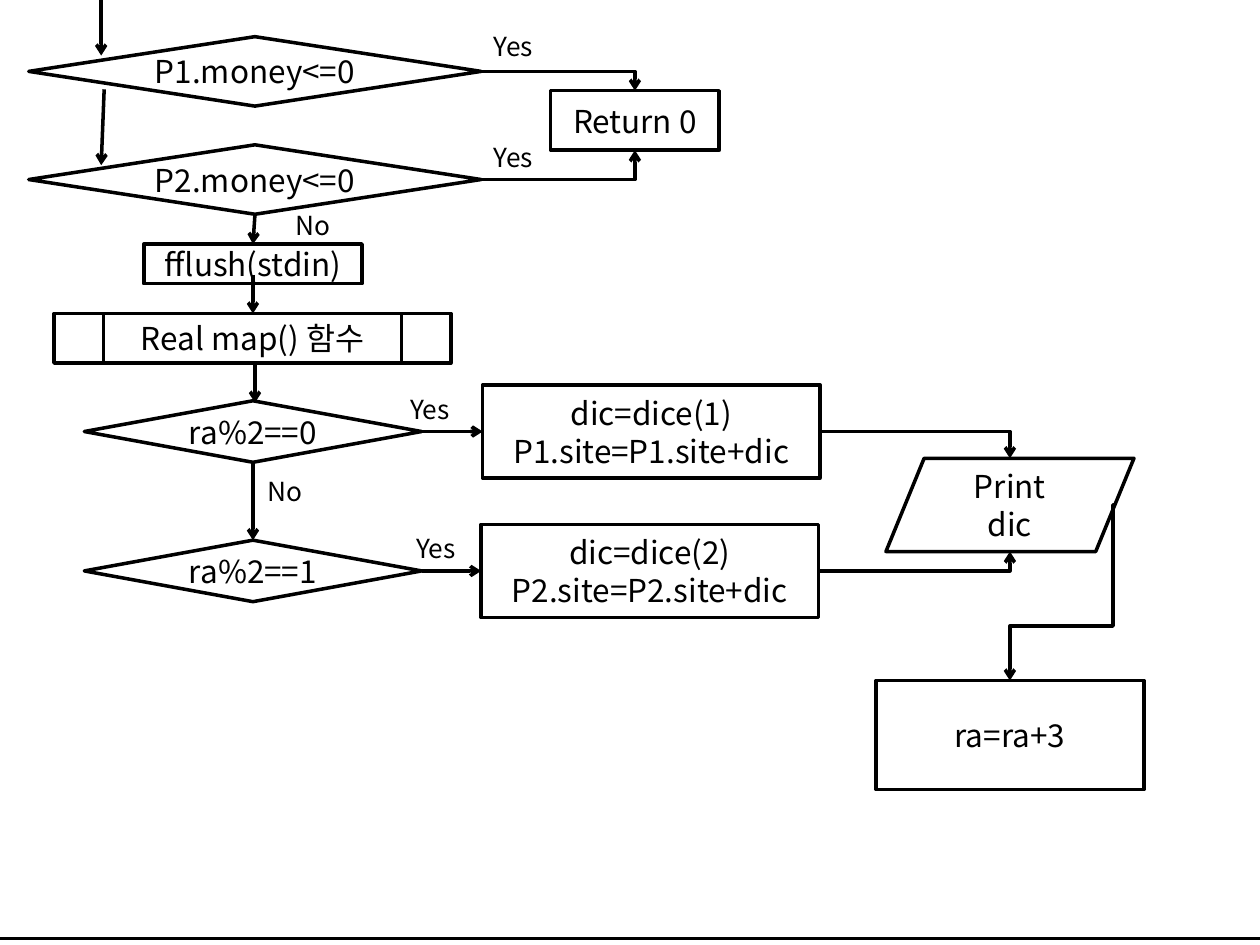
from lxml import etree
from pptx import Presentation
from pptx.dml.color import RGBColor
from pptx.enum.shapes import MSO_CONNECTOR, MSO_SHAPE
from pptx.enum.text import MSO_ANCHOR, PP_ALIGN
from pptx.oxml.ns import qn
from pptx.util import Cm, Pt

DIAMOND = MSO_SHAPE.DIAMOND
RECTANGLE = MSO_SHAPE.RECTANGLE
PARALLELOGRAM = MSO_SHAPE.PARALLELOGRAM
SUBROUTINE = MSO_SHAPE.FLOWCHART_PREDEFINED_PROCESS
STRAIGHT, ELBOW = MSO_CONNECTOR.STRAIGHT, MSO_CONNECTOR.ELBOW
MIDDLE = MSO_ANCHOR.MIDDLE
LEFT, CENTER = PP_ALIGN.LEFT, PP_ALIGN.CENTER

COLORS = {"ink": "000000", "paper": "FFFFFF"}
FONT = "Noto Sans CJK KR"


def color(name):
    return RGBColor.from_string(COLORS[name])


def write(frame, lines, size, align):
    frame.text = "\n".join(lines)
    for para in frame.paragraphs:
        para.alignment = align
        font = para.font
        font.size = Pt(size)
        font.color.rgb = color("ink")
        font.name = FONT
        # Hangul takes its face from the East Asian font
        defaults = para._p.pPr.find(qn("a:defRPr"))
        etree.SubElement(defaults, qn("a:ea")).set("typeface", FONT)


def draw_line(line):
    line.color.rgb = color("ink")
    line.width = Pt(2)


def add_step(page, kind, left, top, width, height, *lines):
    box = page.shapes.add_shape(kind, Cm(left), Cm(top), Cm(width), Cm(height))
    box.shadow.inherit = False
    box.fill.solid()
    box.fill.fore_color.rgb = color("paper")
    draw_line(box.line)
    box.text_frame.word_wrap = False
    box.text_frame.vertical_anchor = MIDDLE
    write(box.text_frame, lines, 18, CENTER)
    return box


def add_label(page, left, top, text):
    box = page.shapes.add_textbox(Cm(left), Cm(top), Cm(2.2), Cm(0.9))
    box.text_frame.word_wrap = True
    write(box.text_frame, [text], 15, LEFT)


def add_link(page, start, end, kind=STRAIGHT, arrow=True):
    x1, y1, x2, y2 = map(Cm, start + end)
    link = page.shapes.add_connector(kind, x1, y1, x2, y2)
    draw_line(link.line)
    if arrow:
        outline = link.line._get_or_add_ln()
        etree.SubElement(outline, qn("a:tailEnd")).set("type", "arrow")
    etree.SubElement(link._element.spPr, qn("a:effectLst"))
    return link


def add_bent_link(page, start, end, preset="bentConnector2", adjustments=()):
    link = add_link(page, start, end, ELBOW)
    geometry = link._element.spPr.find(qn("a:prstGeom"))
    geometry.set("prst", preset)
    guides = geometry.find(qn("a:avLst"))
    for number, value in enumerate(adjustments, 1):
        guide = etree.SubElement(guides, qn("a:gd"))
        guide.set("name", f"adj{number}")
        guide.set("fmla", f"val {round(value * 100000)}")


def main():
    deck = Presentation()
    deck.slide_width, deck.slide_height = Cm(25.4), Cm(19.05)
    page = deck.slides.add_slide(deck.slide_layouts[6])

    # Money checks, one for each player
    add_link(page, (2.04, 0), (2.04, 1.12))
    for player, top in ((1, 0.74), (2, 2.92)):
        add_step(page, DIAMOND, 0.58, top, 9.12, 1.4, f"P{player}.money<=0")
    add_link(page, (2.1, 1.8), (2.04, 3.33))
    add_step(page, RECTANGLE, 11.1, 1.83, 3.4, 1.2, "Return 0")
    add_bent_link(page, (9.7, 1.44), (12.8, 1.83))
    add_bent_link(page, (9.7, 3.62), (12.8, 3.03))

    # Input reset and map
    add_step(page, RECTANGLE, 2.9, 4.92, 4.4, 0.8, "fflush(stdin)")
    add_link(page, (5.14, 4.32), (5.1, 4.92))
    add_link(page, (5.1, 5.54), (5.1, 6.32))
    add_step(page, SUBROUTINE, 1.09, 6.32, 8, 1, "Real map() 함수")

    # Turn checks and dice throws
    for turn, center, left in ((0, 8.7, 9.73), (1, 11.51, 9.7)):
        player = turn + 1
        add_step(page, DIAMOND, 1.7, center - 0.62, 6.8, 1.24, f"ra%2=={turn}")
        add_step(page, RECTANGLE, left, center - 0.94, 6.8, 1.88,
                 f"dic=dice({player})", f"P{player}.site=P{player}.site+dic")
        add_link(page, (8.5, center), (left, center))

    # Shared output and next turn
    output = add_step(page, PARALLELOGRAM, 17.86, 9.24, 5, 1.88, "Print", "dic")
    output.adjustments[0] = 0.41
    add_bent_link(page, (16.53, 8.7), (20.36, 9.24))
    add_bent_link(page, (16.5, 11.51), (20.36, 11.12))
    add_step(page, RECTANGLE, 17.66, 13.72, 5.4, 2.2, "ra=ra+3")
    add_bent_link(page, (22.48, 10.18), (20.36, 13.72), "bentConnector4", (0.02, 0.69))

    # Links down the column and the closing rule
    add_link(page, (0, 18.92), (25.4, 18.92), arrow=False)
    add_link(page, (5.1, 9.32), (5.1, 10.89))
    add_link(page, (5.14, 7.32), (5.14, 8.12))

    # Branch labels
    for left, top, text in (
        (5.7, 4.1, "No"), (9.7, 0.48, "Yes"), (9.7, 2.72, "Yes"),
        (8.02, 7.8, "Yes"), (8.14, 10.6, "Yes"), (5.14, 9.46, "No"),
    ):
        add_label(page, left, top, text)

    deck.save("out.pptx")


main()
